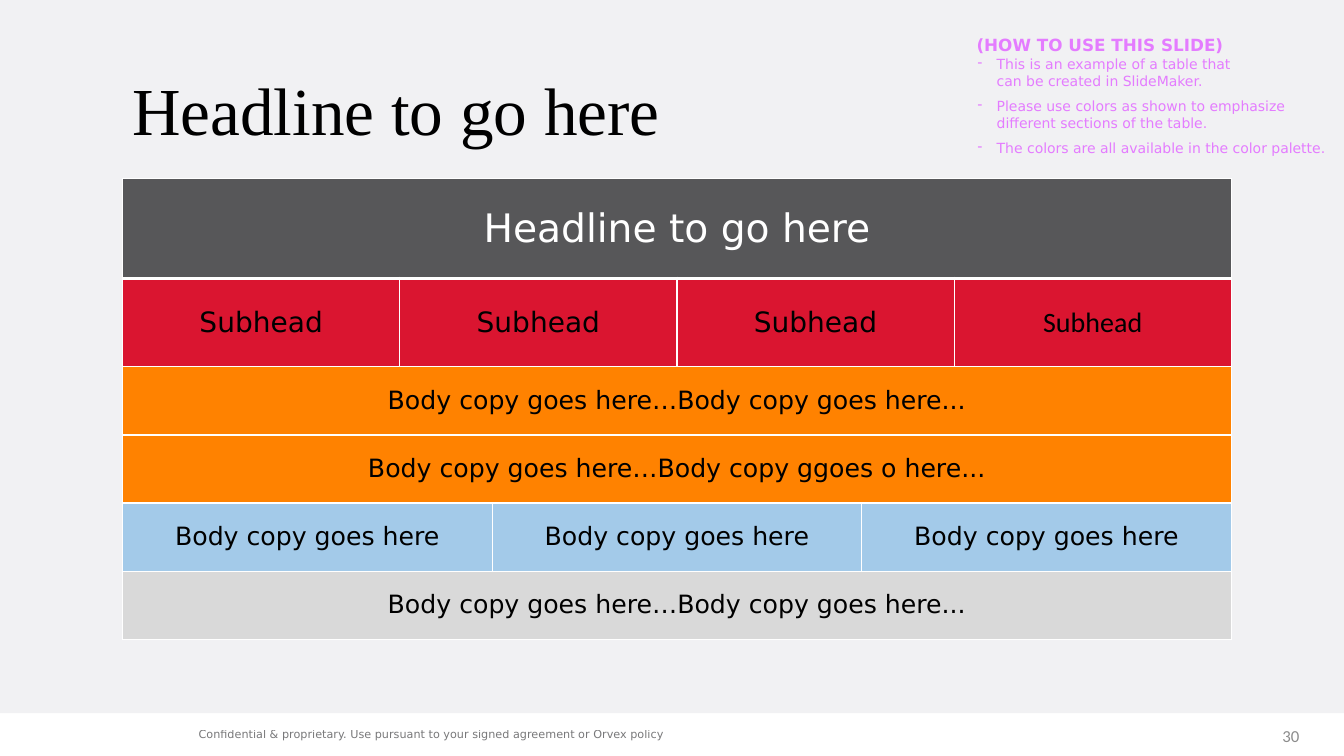
from lxml.etree import SubElement
from pptx import Presentation
from pptx.dml.color import RGBColor
from pptx.enum.shapes import MSO_SHAPE
from pptx.enum.text import MSO_ANCHOR as Anchor, PP_ALIGN as Align
from pptx.oxml.ns import qn
from pptx.util import Pt

WHITE = RGBColor(0xFF, 0xFF, 0xFF)
BLACK = RGBColor(0, 0, 0)
PANEL_GREY = RGBColor(0xF1, 0xF1, 0xF3)
DARK_GREY = RGBColor(0x57, 0x57, 0x59)
NUMBER_GREY = RGBColor(0x8C, 0x8C, 0x8C)
LIGHT_GREY = RGBColor(0xD9, 0xD9, 0xD9)
RED = RGBColor(0xDA, 0x15, 0x30)
ORANGE = RGBColor(0xFF, 0x82, 0x00)
BLUE = RGBColor(0xA3, 0xCA, 0xE9)
PINK = RGBColor(0xE4, 0x7C, 0xFF)
SANS, SERIF, CALIBRI = "DejaVu Sans", "Times New Roman", "Calibri"


def add_text_box(left, top, width, height, anchor):
    box = slide.shapes.add_textbox(Pt(left), Pt(top), Pt(width), Pt(height))
    frame = box.text_frame
    frame.word_wrap = True
    frame.vertical_anchor = anchor
    return frame


def add_run(paragraph, text, font_name, size, color, bold=False):
    run = paragraph.add_run()
    run.text = text
    run.font.name = font_name
    run.font.size = Pt(size)
    run.font.bold = bold
    run.font.color.rgb = color
    return run


presentation = Presentation()
presentation.slide_width = Pt(960)
presentation.slide_height = Pt(540)
slide = presentation.slides.add_slide(presentation.slide_layouts[6])

panel = slide.shapes.add_shape(MSO_SHAPE.RECTANGLE, 0, 0, Pt(960), Pt(509.5))
panel.shadow.inherit = False
panel.fill.solid()
panel.fill.fore_color.rgb = PANEL_GREY
panel.line.fill.background()

footer = add_text_box(129.6, 514.8, 502.6, 20.9, Anchor.MIDDLE)
footer.margin_left = footer.margin_right = Pt(12.24)
footer.margin_top = footer.margin_bottom = Pt(6.48)
footer.paragraphs[0].line_spacing = 0.9
footer_run = add_run(
    footer.paragraphs[0],
    "Confidential & proprietary. Use pursuant to your signed agreement or Orvex policy",
    SANS, 8, DARK_GREY)
footer_color = footer_run.font.fill._xPr.find(".//" + qn("a:srgbClr"))
SubElement(footer_color, qn("a:alpha"), val="80000")

page_number = add_text_box(892.8, 511.2, 42.5, 28.8, Anchor.MIDDLE)
page_number.paragraphs[0].alignment = Align.RIGHT
add_run(page_number.paragraphs[0], "30", CALIBRI, 12, NUMBER_GREY)

title = add_text_box(87.4, 28.8, 787.7, 104.4, Anchor.MIDDLE)
title.paragraphs[0].line_spacing = 0.9
add_run(title.paragraphs[0], "Headline to go here", SERIF, 48, BLACK)

COLUMN_WIDTHS = [198, 66, 132, 132, 66, 198]
ROW_HEIGHTS = [71.2, 63.2, 48.65, 48.65, 48.65, 48.65]
BODY_LINE = "Body copy goes here…Body copy goes here..."
ROWS = [
    (DARK_GREY, WHITE, 28, [6], ["Headline to go here"]),
    (RED, BLACK, 20, [1, 2, 2, 1], ["Subhead"] * 4),
    (ORANGE, BLACK, 18, [6], [BODY_LINE]),
    (ORANGE, BLACK, 18, [6], ["Body copy goes here…Body copy ggoes o here..."]),
    (BLUE, BLACK, 18, [2, 2, 2], ["Body copy goes here"] * 3),
    (LIGHT_GREY, BLACK, 18, [6], [BODY_LINE]),
]
table_frame = slide.shapes.add_table(
    len(ROWS), len(COLUMN_WIDTHS), Pt(87.6), Pt(127.7),
    Pt(sum(COLUMN_WIDTHS)), Pt(sum(ROW_HEIGHTS)))
table = table_frame.table
for column, width in zip(table.columns, COLUMN_WIDTHS):
    column.width = Pt(width)
for row, height in zip(table.rows, ROW_HEIGHTS):
    row.height = Pt(height)

for row_index, (fill, color, size, spans, texts) in enumerate(ROWS):
    for cell in table.rows[row_index].cells:
        properties = cell._tc.get_or_add_tcPr()
        for side in ("L", "R", "T", "B"):
            thick = (row_index, side) in ((0, "B"), (1, "T"))
            border = SubElement(properties, qn("a:ln" + side), w=str(Pt(3 if thick else 1)))
            border_fill = SubElement(border, qn("a:solidFill"))
            SubElement(border_fill, qn("a:srgbClr"), val=str(WHITE))
        cell.fill.solid()
        cell.fill.fore_color.rgb = fill
    first = 0
    for span, text in zip(spans, texts):
        cell = table.cell(row_index, first)
        if span > 1:
            cell.merge(table.cell(row_index, first + span - 1))
        cell.vertical_anchor = Anchor.MIDDLE
        paragraph = cell.text_frame.paragraphs[0]
        paragraph.alignment = Align.CENTER
        last_subhead = row_index == 1 and first == 5
        add_run(paragraph, text, CALIBRI if last_subhead else SANS, size, color)
        first += span

GUIDANCE = [
    ["This is an example of a table that ", "can be created in SlideMaker."],
    ["Please use colors as shown to emphasize different sections of the table."],
    ["The colors are all available in the color palette."],
]
guidance = add_text_box(690.5, 21.6, 269.3, 94.3, Anchor.TOP)
add_run(guidance.paragraphs[0], "(HOW TO USE THIS SLIDE)", SANS, 12, PINK, True)
for lines in GUIDANCE:
    paragraph = guidance.add_paragraph()
    paragraph.space_after = Pt(6)
    properties = paragraph._p.get_or_add_pPr()
    properties.set("marL", str(Pt(14.4)))
    properties.set("indent", str(Pt(-13.7)))
    SubElement(properties, qn("a:buChar"), char="-")
    for line_index, line in enumerate(lines):
        if line_index:
            paragraph.add_line_break()
        add_run(paragraph, line, SANS, 10, PINK)

presentation.save("out.pptx")
